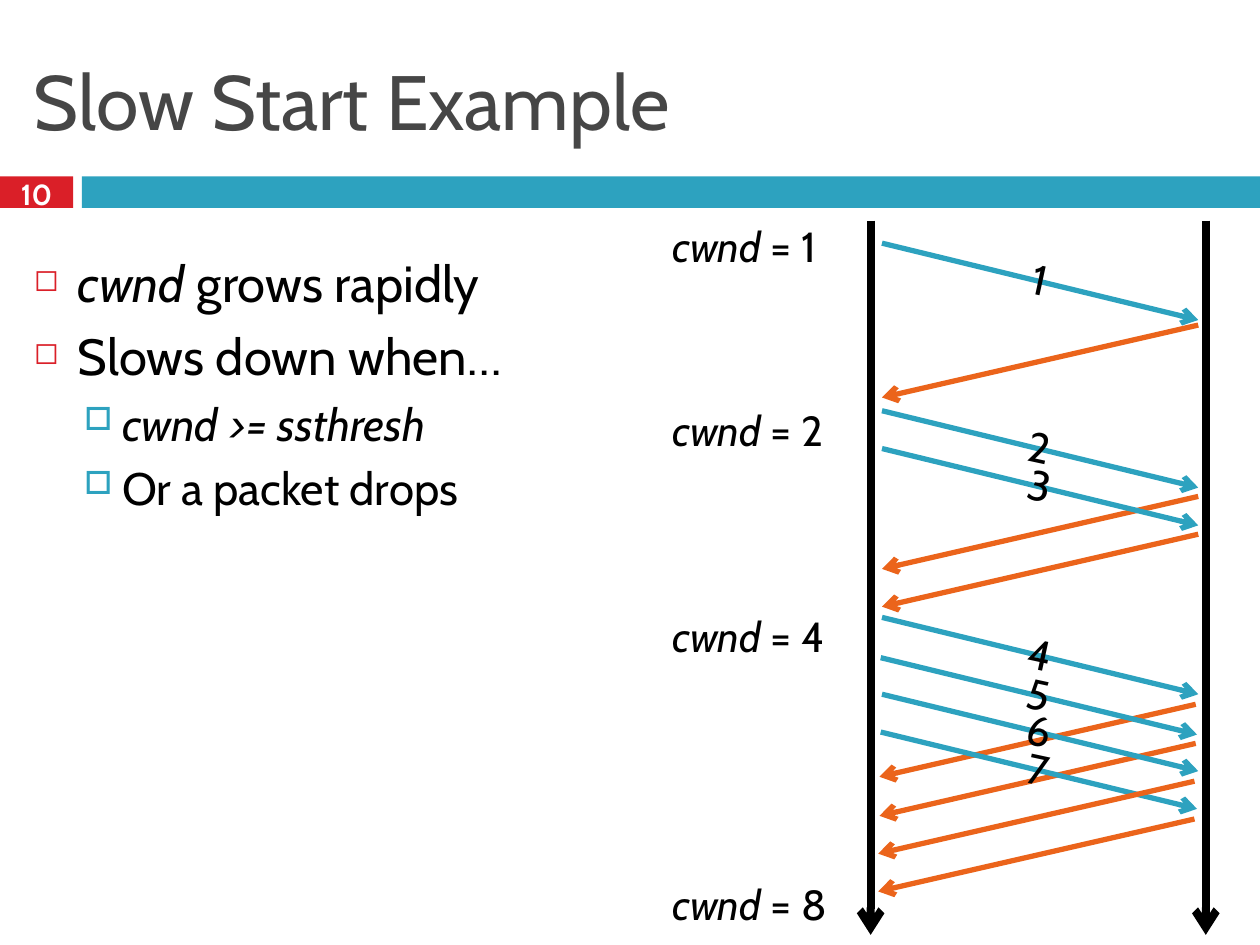
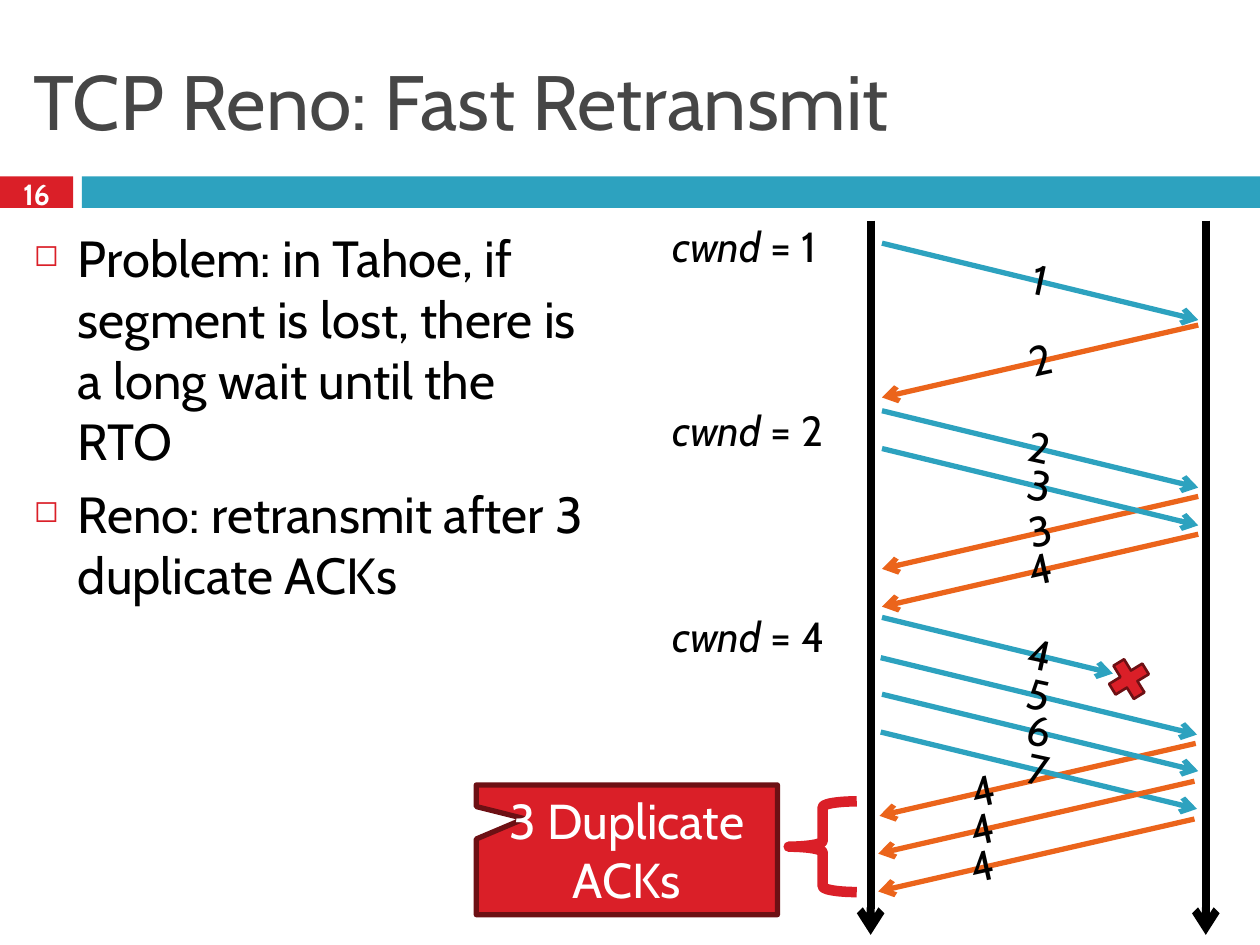
from lxml.etree import SubElement
from pptx import Presentation
from pptx.dml.color import RGBColor
from pptx.enum.shapes import MSO_CONNECTOR, MSO_SHAPE
from pptx.enum.text import MSO_ANCHOR, PP_ALIGN
from pptx.oxml.ns import qn
from pptx.util import Inches, Pt

RED = RGBColor(0xDA, 0x1F, 0x28)
DARK_RED = RGBColor(0x6D, 0x10, 0x14)
TEAL = RGBColor(0x2D, 0xA2, 0xBF)
ORANGE = RGBColor(0xEB, 0x64, 0x1B)
GRAY = RGBColor(0x46, 0x46, 0x46)
BLACK = RGBColor(0, 0, 0)
WHITE = RGBColor(0xFF, 0xFF, 0xFF)

# Content: a text is a list of (words, italic) runs
SLIDES = [
    {
        "title": "Slow Start Example",
        "number": "10",
        "body_box": (0.17, 1.95, 4.62, 5.38),
        "body": [
            (0, [("cwnd", True), (" grows rapidly", False)]),
            (0, [("Slows down when…", False)]),
            (1, [("cwnd >= ssthresh", True)]),
            (1, [("Or a packet drops", False)]),
        ],
        "windows": [("1", 1.7), ("2", 3.16), ("4", 4.8), ("8", 6.92)],
        "lost": None,
        "ack_labels": {},
    },
    {
        "title": "TCP Reno: Fast Retransmit",
        "number": "16",
        "body_box": (0.17, 1.75, 4.7, 5.58),
        "body": [
            (0, [("Problem: in Tahoe, if segment is lost, there is a long wait "
                  "until the RTO", False)]),
            (0, [("Reno: retransmit after 3 duplicate ACKs", False)]),
        ],
        "windows": [("1", 1.7), ("2", 3.16), ("4", 4.8)],
        "lost": "4",
        # ACK of packet: (label, share of the way along the arrow)
        "ack_labels": {"1": ("2", 0.5), "2": ("3", 0.5), "3": ("4", 0.5),
                       "5": ("4", 0.67), "6": ("4", 0.67), "7": ("4", 0.67)},
        "callout": "3 Duplicate ACKs",
    },
]

# Packet: (sender x, send y, receiver x, ACK y)
PACKETS = {
    "1": (7, 1.93, 9.51, 2.58),
    "2": (7, 3.26, 9.51, 3.94),
    "3": (7, 3.56, 9.51, 4.24),
    "4": (7, 4.9, 9.49, 5.59),
    "5": (6.99, 5.22, 9.49, 5.9),
    "6": (7, 5.51, 9.48, 6.2),
    "7": (6.99, 5.81, 9.48, 6.5),
}
ACKS_ABOVE_PACKETS = ("6", "7")
TRIP, PACKET_DROP, ACK_DROP = 2.51, 0.61, 0.575
LOST_SHARE = 0.73
TIMELINES, TIMELINE_TOP, TIMELINE_BOTTOM = (6.91, 9.57), 1.75, 7.42
LABEL_WIDTH, LABEL_HEIGHT, LABEL_LIFT = 1.11, 0.5, 0.02
PACKET_TILT, ACK_TILT = 12.3, 347.5

# Body levels
LEVELS = [
    {"size": 29, "margin": 0.35, "indent": -0.35, "before": 7,
     "bullet": "◻", "color": RED, "percent": 60},
    {"size": 26, "margin": 0.7, "indent": -0.3, "before": 5.5,
     "bullet": "□", "color": TEAL, "percent": 70},
]


def write(paragraph, runs, size, color=BLACK, bold=False):
    for words, italic in runs:
        run = paragraph.add_run()
        run.text = words
        values = {"name": "Cabin", "size": Pt(size), "bold": bold, "italic": italic}
        for name, value in values.items():
            setattr(run.font, name, value)
        run.font.color.rgb = color


def add_text(slide, box, runs, size, color=BLACK, bold=False,
             align=PP_ALIGN.LEFT, anchor=MSO_ANCHOR.TOP, tilt=0):
    shape = slide.shapes.add_textbox(*map(Inches, box))
    shape.rotation = tilt
    frame = shape.text_frame
    frame.word_wrap = True
    frame.vertical_anchor = anchor
    frame.paragraphs[0].alignment = align
    write(frame.paragraphs[0], runs, size, color, bold)
    return shape


def add_shape(slide, kind, box, fill=None, line=None, width=1):
    shape = slide.shapes.add_shape(kind, *map(Inches, box))
    shape.shadow.inherit = False
    for part, color in ((shape.fill, fill), (shape.line.fill, line)):
        if color is None:
            part.background()
        else:
            part.solid()
            part.fore_color.rgb = color
    if line is not None:
        shape.line.width = Pt(width)
    return shape


def add_arrow(slide, start, end, color, width=3):
    points = map(Inches, (*start, *end))
    connector = slide.shapes.add_connector(MSO_CONNECTOR.STRAIGHT, *points)
    connector.line.color.rgb = color
    connector.line.width = Pt(width)
    properties = connector.element.spPr
    SubElement(properties.find(qn("a:ln")), qn("a:tailEnd"), type="arrow")
    SubElement(properties, qn("a:effectLst"))


def add_arrow_label(slide, start, step, share, label, tilt):
    """Centre a tilted label at a share of the way along an arrow."""
    left = start[0] + share * step[0] - LABEL_WIDTH / 2
    top = start[1] + share * step[1] - LABEL_HEIGHT / 2 - LABEL_LIFT
    add_text(slide, (left, top, LABEL_WIDTH, LABEL_HEIGHT), [(label, False)],
             24, align=PP_ALIGN.CENTER, tilt=tilt)


def add_frame(slide, title, number):
    add_shape(slide, MSO_SHAPE.RECTANGLE, (0, 1.4, 0.58, 0.25), RED)
    add_shape(slide, MSO_SHAPE.RECTANGLE, (0.65, 1.4, 9.35, 0.25), TEAL)
    add_text(slide, (0.17, 0.25, 9.67, 1.08), [(title, False)], 44, GRAY,
             anchor=MSO_ANCHOR.MIDDLE)
    add_text(slide, (0, 1.37, 0.58, 0.33), [(number, False)], 16.6, WHITE, True,
             PP_ALIGN.CENTER, MSO_ANCHOR.MIDDLE)


def add_body(slide, box, items):
    frame = slide.shapes.add_textbox(*map(Inches, box)).text_frame
    frame.word_wrap = True
    for index, (depth, runs) in enumerate(items):
        level = LEVELS[depth]
        paragraph = frame.add_paragraph() if index else frame.paragraphs[0]
        paragraph.level = depth
        paragraph.space_before = Pt(level["before"])
        write(paragraph, runs, level["size"])
        properties = paragraph._p.get_or_add_pPr()
        properties.set("marL", str(Inches(level["margin"])))
        properties.set("indent", str(Inches(level["indent"])))
        color = SubElement(properties, qn("a:buClr"))
        SubElement(color, qn("a:srgbClr"), val=str(level["color"]))
        SubElement(properties, qn("a:buSzPct"), val=str(level["percent"] * 1000))
        SubElement(properties, qn("a:buChar"), char=level["bullet"])


def add_acks(slide, packets, lost):
    for packet in packets:
        if packet != lost:
            x, y = PACKETS[packet][2:]
            add_arrow(slide, (x, y), (x - TRIP, y + ACK_DROP), ORANGE)


def add_exchange(slide, content):
    lost = content["lost"]
    early = [packet for packet in PACKETS if packet not in ACKS_ABOVE_PACKETS]
    add_acks(slide, early, lost)
    for x in TIMELINES:
        add_arrow(slide, (x, TIMELINE_TOP), (x, TIMELINE_BOTTOM), BLACK, 4.5)
    for packet, (x, y, _, _) in PACKETS.items():
        share = LOST_SHARE if packet == lost else 1
        add_arrow(slide, (x, y), (x + share * TRIP, y + share * PACKET_DROP), TEAL)
        add_arrow_label(slide, (x, y), (TRIP, PACKET_DROP), 0.5, packet, PACKET_TILT)
    add_acks(slide, ACKS_ABOVE_PACKETS, lost)
    for value, top in content["windows"]:
        add_text(slide, (5.24, top, 1.56, 0.5),
                 [("cwnd", True), (f" = {value}", False)], 24)
    for packet, (label, share) in content["ack_labels"].items():
        add_arrow_label(slide, PACKETS[packet][2:], (-TRIP, ACK_DROP), share,
                        label, ACK_TILT)


def add_loss_marks(slide, callout_text):
    cross = add_shape(slide, MSO_SHAPE.MATH_MULTIPLY, (8.75, 5.18, 0.42, 0.42),
                      RED, DARK_RED, 1.5)
    cross.rotation = 13.5
    add_shape(slide, MSO_SHAPE.LEFT_BRACE, (6.26, 6.36, 0.54, 0.72), line=RED, width=6)
    callout = add_shape(slide, MSO_SHAPE.RECTANGULAR_CALLOUT,
                        (3.78, 6.23, 2.39, 1.03), RED, DARK_RED, 3)
    callout.adjustments[0] = -0.34
    callout.adjustments[1] = -0.24
    frame = callout.text_frame
    frame.word_wrap = True
    frame.vertical_anchor = MSO_ANCHOR.MIDDLE
    frame.paragraphs[0].alignment = PP_ALIGN.CENTER
    write(frame.paragraphs[0], [(callout_text, False)], 28, WHITE)


def main():
    presentation = Presentation()
    presentation.slide_width = Inches(10)
    presentation.slide_height = Inches(7.5)
    for content in SLIDES:
        slide = presentation.slides.add_slide(presentation.slide_layouts[6])
        add_frame(slide, content["title"], content["number"])
        add_body(slide, content["body_box"], content["body"])
        add_exchange(slide, content)
        if content["lost"]:
            add_loss_marks(slide, content["callout"])
    presentation.save("out.pptx")


if __name__ == "__main__":
    main()
